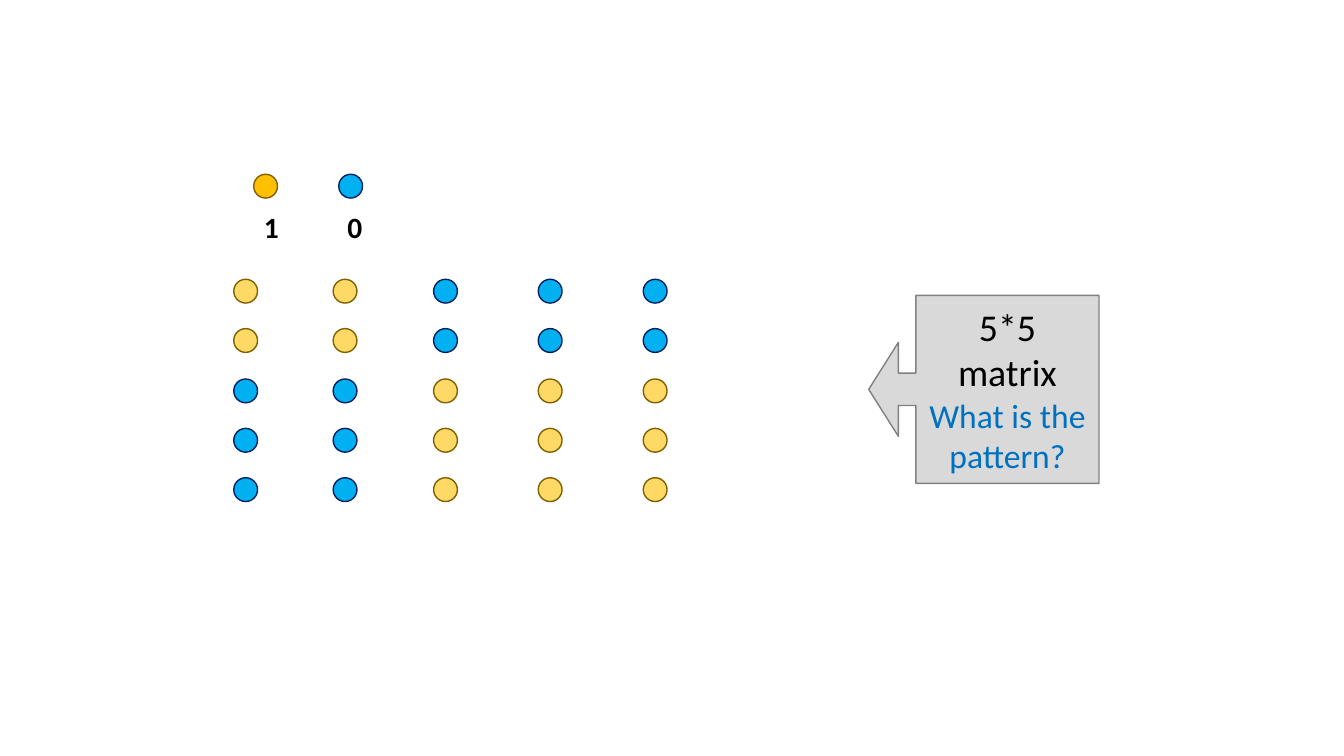
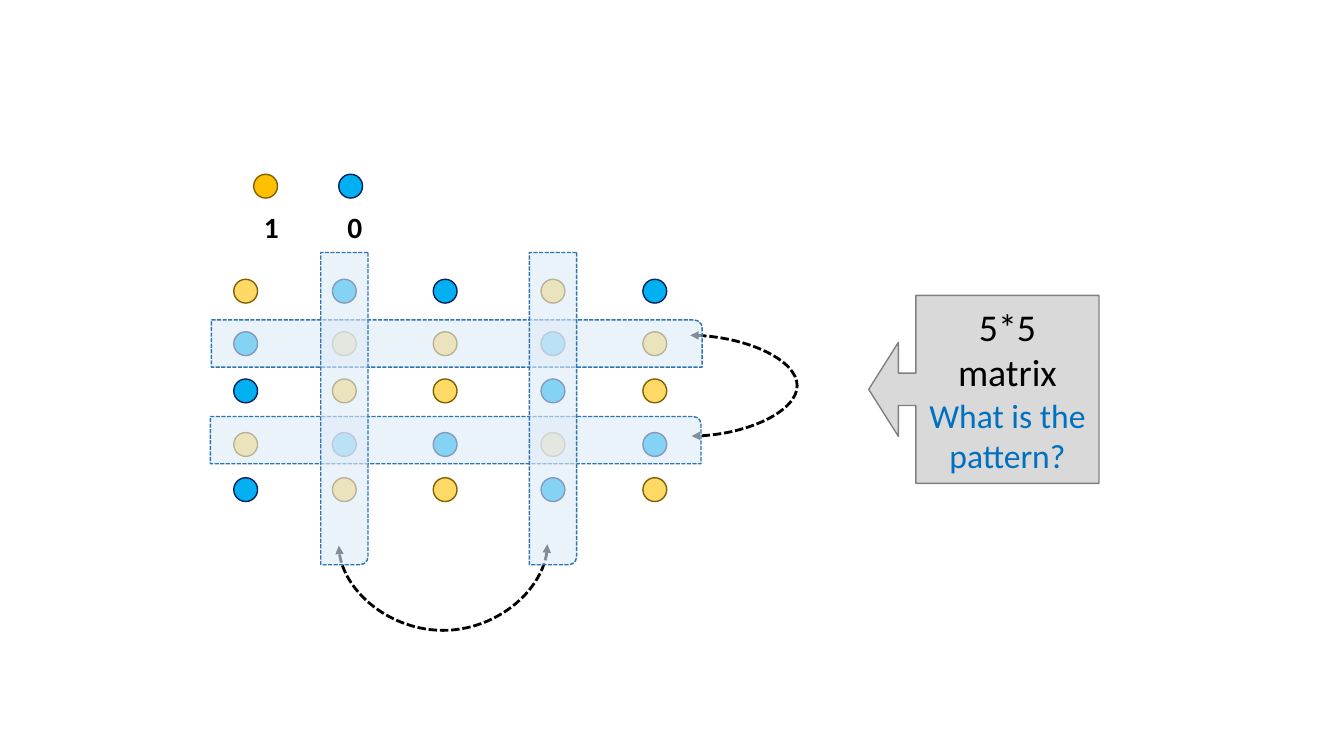
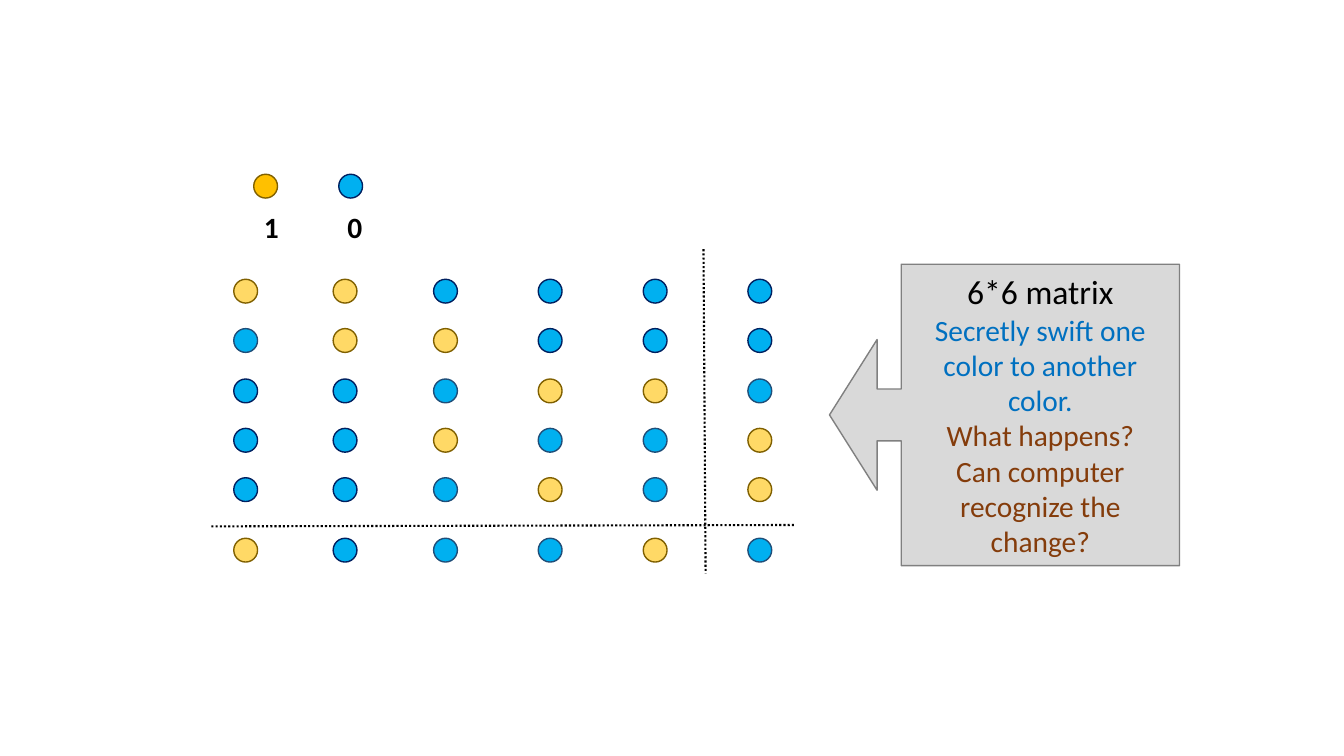
from lxml.etree import SubElement
from pptx import Presentation
from pptx.dml.color import RGBColor
from pptx.enum.dml import MSO_LINE
from pptx.enum.shapes import MSO_CONNECTOR, MSO_SHAPE
from pptx.enum.text import MSO_ANCHOR, MSO_AUTO_SIZE, PP_ALIGN
from pptx.oxml.ns import qn
from pptx.util import Pt

FONT = "Calibri"
BLACK = "000000"
BLUE_TEXT = "0070C0"
BROWN_TEXT = "843C0B"
DOT_SIZE = 17
# Fill and outline of each kind of dot
DOTS = {
    "G": ("FFC000", "806000"),
    "Y": ("FFD966", "806000"),
    "B": ("00B0F0", "002060"),
    "b": ("00B0F0", "1F4E79"),
}
COLUMNS = (167, 238, 309.75, 384.5, 459.5, 534.25)
ROWS = (199.5, 234.75, 270.75, 306, 341.25, 384.5)
SWAPPED_COLUMNS = (167, 237.5, 309.5, 386.5, 459.25)
SWAPPED_ROWS = (199.5, 237, 270.75, 309, 341.25)


def color(hex_string):
    return RGBColor.from_string(hex_string)


def add_text(frame, text, size, hex_color=BLACK, bold=False, align=PP_ALIGN.LEFT):
    """Fill the frame's empty first paragraph, or append another one."""
    para = frame.paragraphs[0] if not frame.text else frame.add_paragraph()
    para.alignment = align
    span = para.add_run()
    span.text = text
    span.font.name = FONT
    span.font.size = Pt(size)
    span.font.bold = bold
    span.font.color.rgb = color(hex_color)


def add_figure(page, kind, left, top, width, height, fill, outline):
    figure = page.shapes.add_shape(kind, Pt(left), Pt(top), Pt(width), Pt(height))
    figure.shadow.inherit = False
    figure.fill.solid()
    figure.fill.fore_color.rgb = color(fill)
    figure.line.color.rgb = color(outline)
    figure.line.width = Pt(1)
    return figure


def add_dot(page, kind, left, top):
    add_figure(page, MSO_SHAPE.OVAL, left, top, DOT_SIZE, DOT_SIZE, *DOTS[kind])


def add_legend(page):
    for kind, digit, dot_left, text_left in (("G", "1", 181.25, 181.5), ("B", "0", 242, 241)):
        add_dot(page, kind, dot_left, 124.5)
        box = page.shapes.add_textbox(Pt(text_left), Pt(145.5), Pt(25), Pt(32.5))
        box.text_frame.word_wrap = False
        box.text_frame.auto_size = MSO_AUTO_SIZE.SHAPE_TO_FIT_TEXT
        add_text(box.text_frame, digit, 21, bold=True)


def add_matrix(page, pattern, columns=COLUMNS, rows=ROWS):
    """Draw one dot for each letter of the rows in pattern."""
    for kinds, top in zip(pattern, rows):
        for kind, left in zip(kinds, columns):
            add_dot(page, kind, left, top)


def add_callout(page, left, top, width, height, lines):
    callout = add_figure(page, MSO_SHAPE.LEFT_ARROW_CALLOUT, left, top, width, height,
                         "D9D9D9", "808080")
    for index, value in enumerate((0.172, 0.25, 0.158, 0.795)):
        callout.adjustments[index] = value
    frame = callout.text_frame
    frame.word_wrap = True
    frame.vertical_anchor = MSO_ANCHOR.MIDDLE
    for text, size, hex_color in lines:
        add_text(frame, text, size, hex_color, align=PP_ALIGN.CENTER)


def add_line(page, kind, start, end, width, dash):
    line = page.shapes.add_connector(kind, *map(Pt, start + end))
    line.line.color.rgb = color(BLACK)
    line.line.width = Pt(width)
    line.line.dash_style = dash
    SubElement(line._element.spPr, qn("a:effectLst"))
    return line


def add_swap_arrow(page, left, top, height, bulge, rotation=0):
    """Draw a two-headed curve one point wide that bulges to its right."""
    arrow = add_line(page, MSO_CONNECTOR.CURVE, (left, top), (left + 1, top + height),
                     2, MSO_LINE.SQUARE_DOT)
    properties = arrow._element.spPr
    properties.find(qn("a:xfrm")).set("rot", str(rotation * 60000))
    guides = properties.find(qn("a:prstGeom")).get_or_add_avLst()
    SubElement(guides, qn("a:gd"), name="adj1", fmla=f"val {bulge * 100000}")
    outline = properties.find(qn("a:ln"))
    for end in ("a:headEnd", "a:tailEnd"):
        SubElement(outline, qn(end), type="triangle")


def add_band(page, left, top, width, rotation=0):
    band = add_figure(page, MSO_SHAPE.ROUND_1_RECTANGLE, left, top, width, 33.75,
                      "DEEBF7", "2E75B6")
    band.rotation = rotation
    band.line.dash_style = MSO_LINE.SQUARE_DOT
    tint = band._element.spPr.find(qn("a:solidFill"))[0]
    SubElement(tint, qn("a:alpha"), val="60000")


def add_pattern_question(page):
    add_callout(page, 620.5, 211, 164.5, 134.25, (
        ("5*5 matrix", 27, BLACK),
        ("What is the pattern?", 24, BLUE_TEXT),
    ))


def build_pattern_page(page):
    add_matrix(page, ("YYBBB", "YYBBB", "BBYYY", "BBYYY", "BBYYY"))
    add_pattern_question(page)


def build_swap_page(page):
    add_matrix(page, ("YBBYB", "BYYBY", "BYYBY", "YBBYB", "BYYBY"),
               SWAPPED_COLUMNS, SWAPPED_ROWS)
    add_pattern_question(page)
    add_swap_arrow(page, 493, 239.5, 72, 77)
    add_swap_arrow(page, 316, 314.75, 149, 62, rotation=90)
    for left, top in ((151, 228.5), (150.25, 297.5)):
        add_band(page, left, top, 350.5)
    for left in (134.5, 283.5):
        add_band(page, left, 275, 223, rotation=90)


def build_change_page(page):
    add_matrix(page, ("YYBBBB", "bYYBBB", "BBbYYb", "BBYbbY", "BBbYbY", "YBbbYb"))
    for start, end in (((151, 376), (567.5, 375)), ((502.5, 178), (504, 409.5))):
        add_line(page, MSO_CONNECTOR.STRAIGHT, start, end, 1.5, MSO_LINE.ROUND_DOT)
    add_callout(page, 592.5, 188.75, 250, 215.25, (
        ("6*6 matrix", 24, BLACK),
        ("Secretly swift one color to another color.", 21, BLUE_TEXT),
        ("What happens?", 21, BROWN_TEXT),
        ("Can computer recognize the change?", 21, BROWN_TEXT),
    ))


def main():
    deck = Presentation()
    deck.slide_width, deck.slide_height = Pt(960), Pt(540)
    blank_layout = deck.slide_layouts[6]
    for build in (build_pattern_page, build_swap_page, build_change_page):
        page = deck.slides.add_slide(blank_layout)
        add_legend(page)
        build(page)
    deck.save("out.pptx")


if __name__ == "__main__":
    main()
